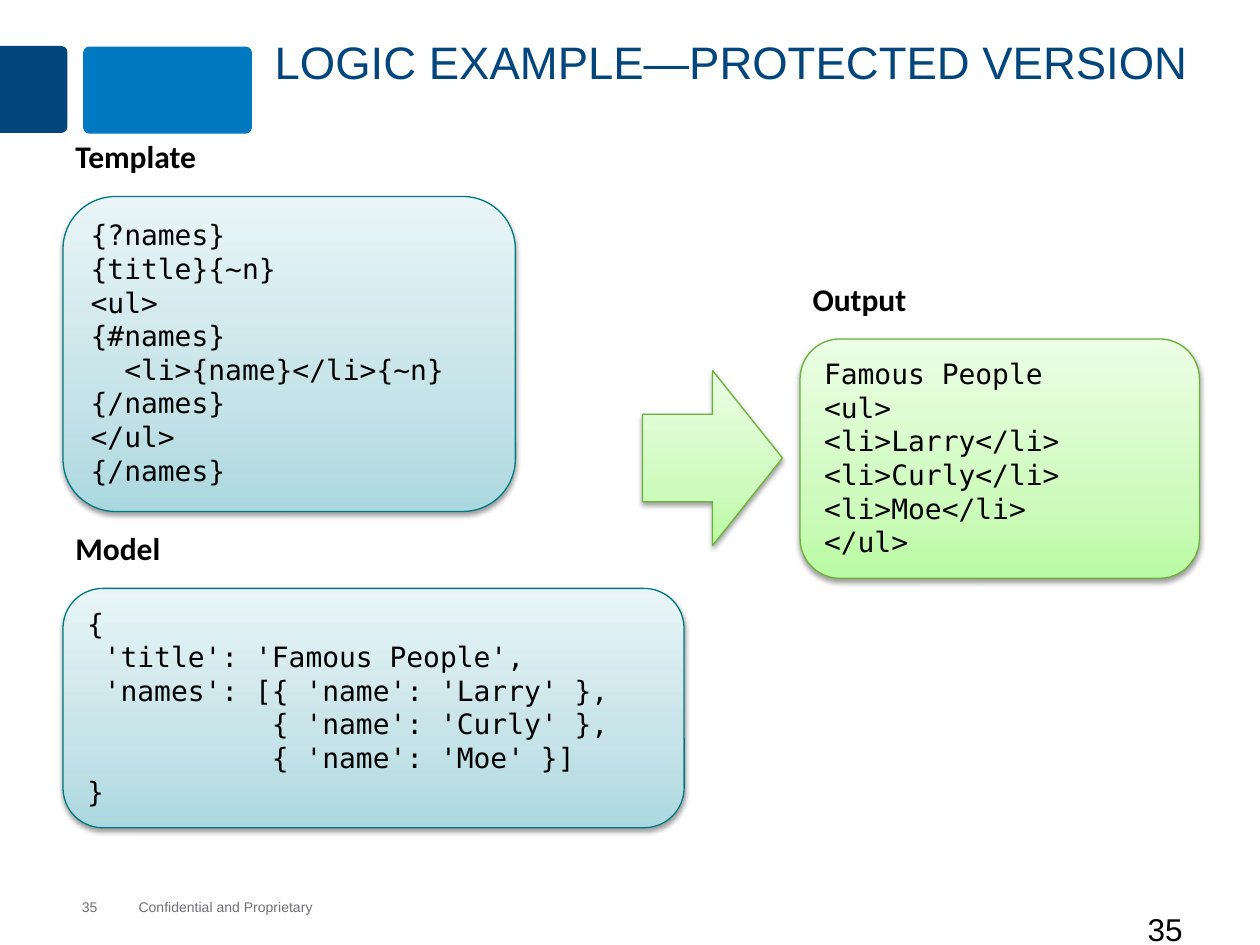
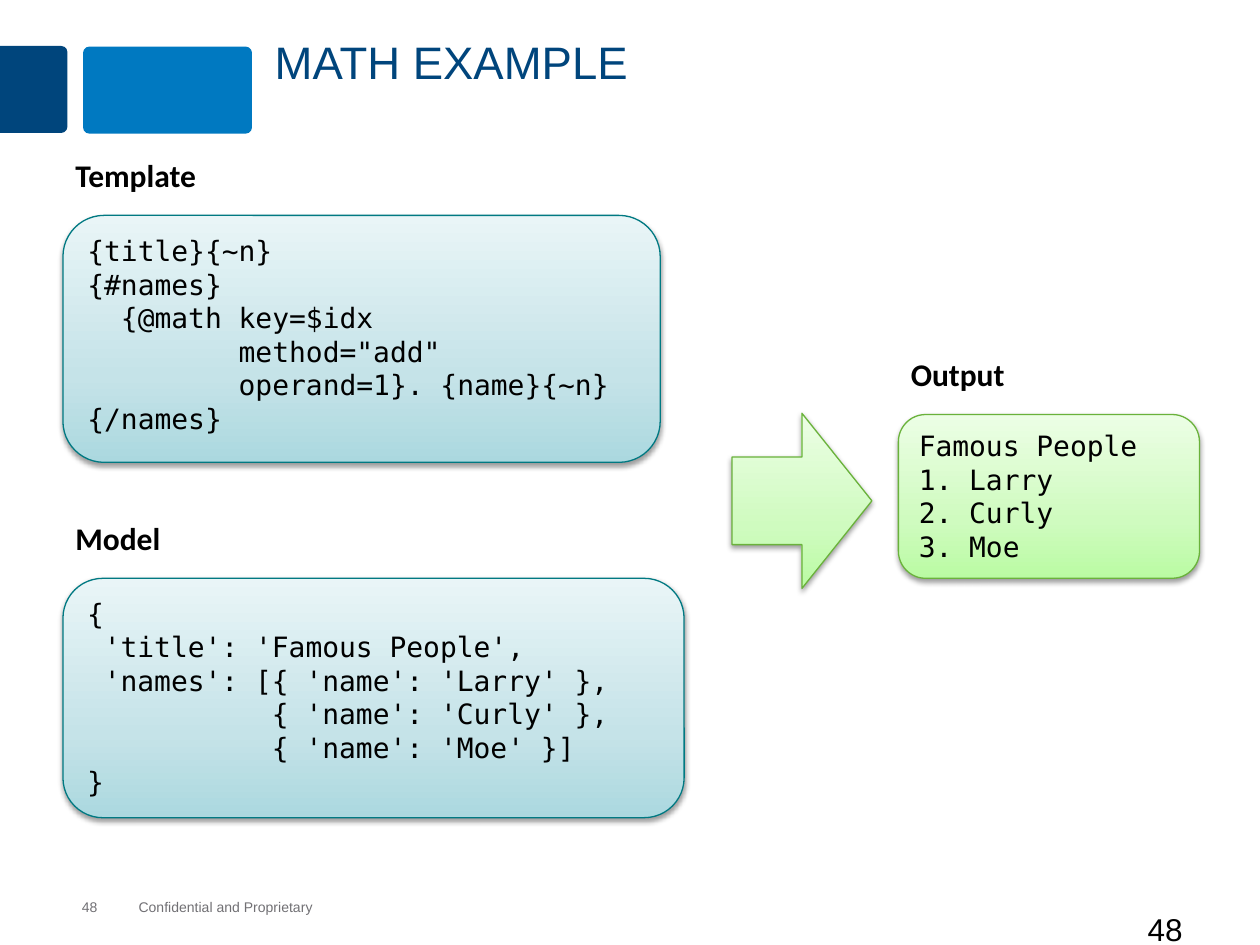
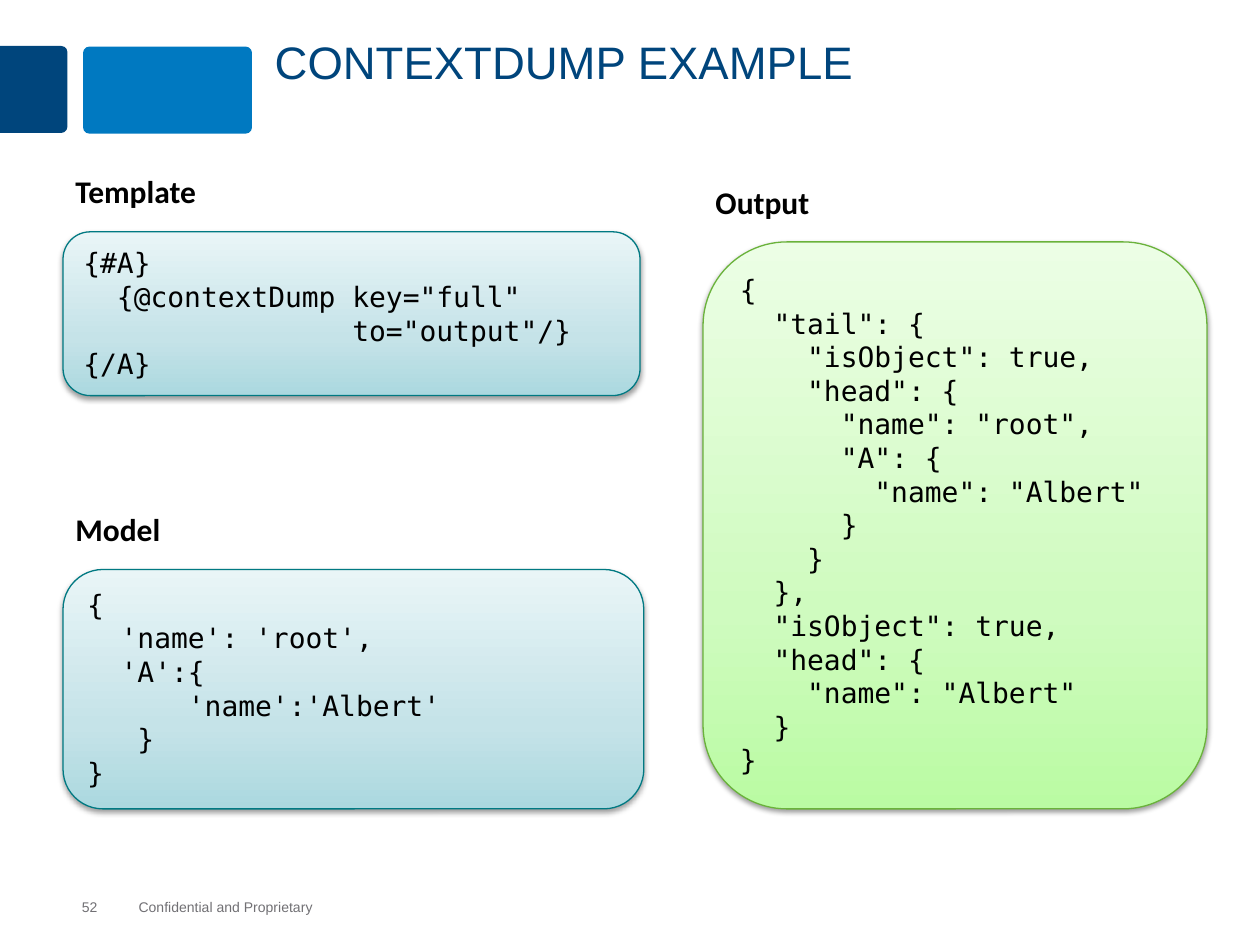
from lxml import etree
from pptx import Presentation
from pptx.dml.color import RGBColor
from pptx.enum import shapes, text
from pptx.oxml import ns
from pptx.util import Inches, Pt

HUES = {"navy": "00457C", "blue": "0079C1", "gray": "717074", "black": "000000"}
SKINS = {
    "teal": {"line": "007982", "stops": ((0, "ABD8DF"), (35, "C5E3E8"), (100, "E9F5F7"))},
    "green": {"line": "6AB23B", "stops": ((0, "BAFBA3"), (35, "CFFBBF"), (100, "ECFEE5"))},
}
TYPES = {
    "title": ("Arial", 26, "navy", False),
    "foot": ("Arial", 8, "gray", False),
    "page": ("Arial", 18, "black", False),
    "label": ("Calibri", 18, "black", True),
    "code": ("DejaVu Sans Mono", 16, "black", False),
}
KIND = shapes.MSO_SHAPE
ANCHOR = text.MSO_ANCHOR
LEFT = 0.5
GAP = 0.52
ARROW = (1.11, 1.39)

PEOPLE = """{
 'title': 'Famous People',
 'names': [{ 'name': 'Larry' },
           { 'name': 'Curly' },
           { 'name': 'Moe' }]
}"""

SLIDES = [
    {
        "title": "LOGIC EXAMPLE—PROTECTED VERSION",
        "page": "35",
        "corner": True,
        "arrow": (5.1, 2.94),
        "boxes": [
            ("Template", "teal", (LEFT, 1.56, 3.59, 2.5), """{?names}
{title}{~n}
<ul>
{#names}
  <li>{name}</li>{~n}
{/names}
</ul>
{/names}"""),
            ("Model", "teal", (LEFT, 4.67, 4.93, 1.9), PEOPLE),
            ("Output", "green", (6.35, 2.69, 3.17, 1.9), """Famous People
<ul>
<li>Larry</li>
<li>Curly</li>
<li>Moe</li>
</ul>"""),
        ],
    },
    {
        "title": "MATH EXAMPLE",
        "page": "48",
        "corner": True,
        "arrow": (5.81, 3.28),
        "boxes": [
            ("Template", "teal", (LEFT, 1.71, 4.74, 1.96), """{title}{~n}
{#names}
  {@math key=$idx
         method="add"
         operand=1}. {name}{~n}
{/names}"""),
            ("Model", "teal", (LEFT, 4.59, 4.93, 1.9), PEOPLE),
            ("Output", "green", (7.13, 3.29, 2.39, 1.3), """Famous People
1. Larry
2. Curly
3. Moe"""),
        ],
    },
    {
        "title": "CONTEXTDUMP EXAMPLE",
        "page": "52",
        "corner": False,
        "arrow": None,
        "boxes": [
            ("Template", "teal", (LEFT, 1.84, 4.58, 1.3), """{#A}
  {@contextDump key="full"
                to="output"/}
{/A}"""),
            ("Model", "teal", (LEFT, 4.52, 4.61, 1.9), """{
  'name': 'root',
  'A':{
      'name':'Albert'
   }
}"""),
            ("Output", "green", (5.58, 1.92, 4, 4.5), """{
  "tail": {
    "isObject": true,
    "head": {
      "name": "root",
      "A": {
        "name": "Albert"
      }
    }
  },
  "isObject": true,
  "head": {
    "name": "Albert"
  }
}"""),
        ],
    },
]


def write(frame, words, style, anchor=ANCHOR.TOP):
    face, size, hue, bold = TYPES[style]
    frame.word_wrap = True
    frame.auto_size = text.MSO_AUTO_SIZE.NONE
    frame.vertical_anchor = anchor
    para = frame.paragraphs[0]
    para.alignment = text.PP_ALIGN.LEFT
    for row, line in enumerate(words.split("\n")):
        if row:
            para.add_line_break()
        run = para.add_run()
        run.text = line
        run.font.name = face
        run.font.size = Pt(size)
        run.font.bold = bold
        run.font.color.rgb = RGBColor.from_string(HUES[hue])
    return para


def note(slide, place, words, style, flush=False):
    frame = slide.shapes.add_textbox(*map(Inches, place)).text_frame
    if flush:
        frame.margin_left = frame.margin_right = 0
        frame.margin_top = frame.margin_bottom = 0
    write(frame, words, style, ANCHOR.MIDDLE if flush else ANCHOR.TOP)


def band(slide, kind, place, hue, round_by, turn=0):
    shape = slide.shapes.add_shape(kind, *map(Inches, place))
    shape.adjustments[0] = round_by
    shape.rotation = turn
    shape.shadow.inherit = False
    shape.fill.solid()
    shape.fill.fore_color.rgb = RGBColor.from_string(HUES[hue])
    shape.line.fill.background()


def node(parent, tag, **attrs):
    return etree.SubElement(parent, ns.qn("a:" + tag), {k: str(v) for k, v in attrs.items()})


def panel(slide, kind, place, skin):
    shape = slide.shapes.add_shape(kind, *map(Inches, place))
    look = SKINS[skin]
    shape.line.color.rgb = RGBColor.from_string(look["line"])
    shape.line.width = Pt(0.75)
    shape.shadow.inherit = False
    shape.fill.gradient()
    props = shape.element.spPr
    grad = props.find(ns.qn("a:gradFill"))
    for child in list(grad):
        grad.remove(child)
    stops = node(grad, "gsLst")
    for pos, hue in look["stops"]:
        node(node(stops, "gs", pos=pos * 1000), "srgbClr", val=hue)
    node(grad, "lin", ang=270 * 60000, scaled=0)
    glow = node(props.find(ns.qn("a:effectLst")), "outerShdw", blurRad=Pt(3.1),
                dist=Pt(1.6), dir=90 * 60000, rotWithShape=0)
    node(node(glow, "srgbClr", val=HUES["black"]), "alpha", val=38000)
    return shape


def frame_slide(slide, data):
    band(slide, KIND.ROUND_2_SAME_RECTANGLE, (-0.08, 0.44, 0.69, 0.54), "navy", 0.09, 90)
    band(slide, KIND.ROUNDED_RECTANGLE, (0.66, 0.37, 1.34, 0.69), "blue", 0.07)
    note(slide, (1.1, 7.13, 1.4, 0.13), "Confidential and Proprietary", "foot", True)
    note(slide, (0.65, 7.13, 0.4, 0.13), data["page"], "foot", True)
    if data["corner"]:
        note(slide, (9.01, 7.17, 0.99, 0.33), data["page"], "page")
    title = slide.shapes.title
    title.left, title.top, title.width, title.height = map(Inches, (2.08, 0.25, 7.67, 0.91))
    write(title.text_frame, data["title"], "title").line_spacing = 0.95


def main():
    deck = Presentation()
    deck.slide_width, deck.slide_height = Inches(10), Inches(7.5)
    for data in SLIDES:
        slide = deck.slides.add_slide(deck.slide_layouts[5])
        frame_slide(slide, data)
        for label, skin, place, code in data["boxes"]:
            box = panel(slide, KIND.ROUNDED_RECTANGLE, place, skin)
            write(box.text_frame, code, "code")
            note(slide, (place[0], place[1] - GAP, 1.65, 0.5), label, "label")
        if data["arrow"]:
            panel(slide, KIND.RIGHT_ARROW, data["arrow"] + ARROW, "green")
    deck.save("out.pptx")


if __name__ == "__main__":
    main()
